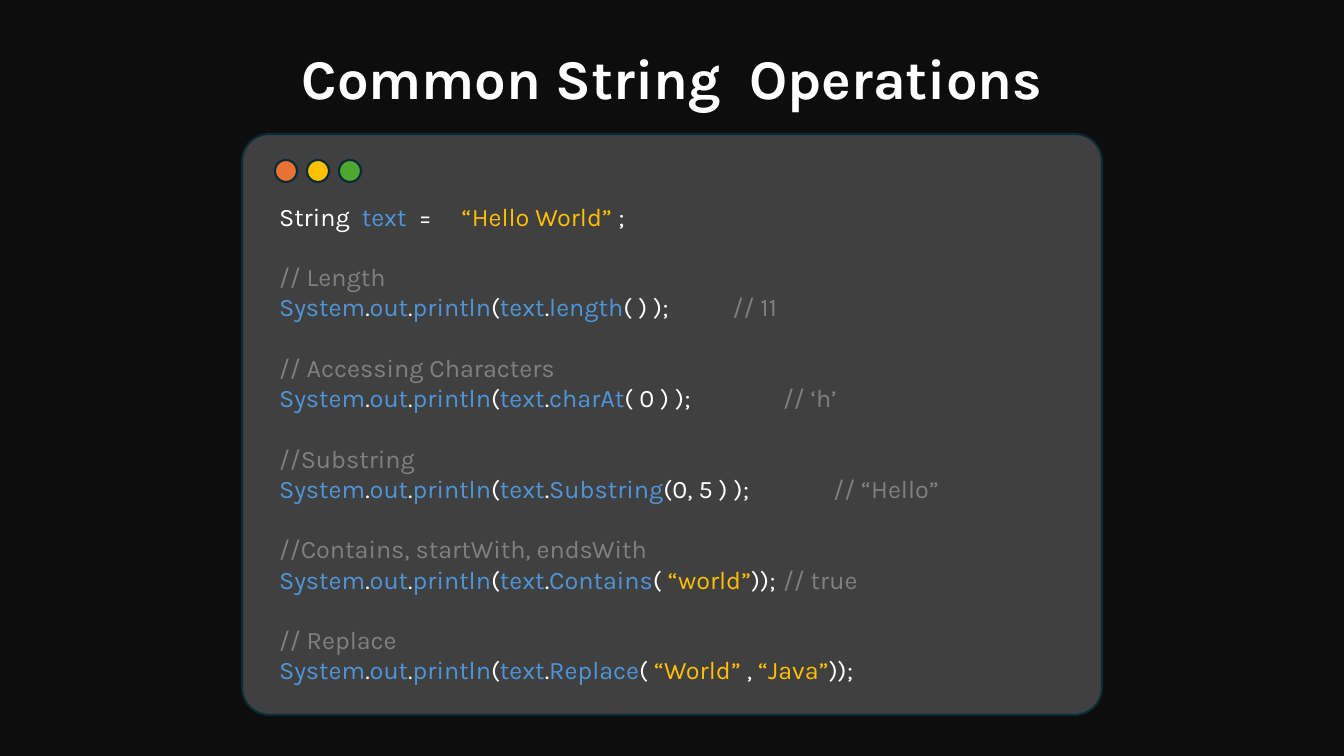
from pptx import Presentation
from pptx.dml.color import RGBColor
from pptx.enum.shapes import MSO_SHAPE as Shape
from pptx.enum.text import MSO_ANCHOR as Anchor, MSO_AUTO_SIZE as AutoSize, PP_ALIGN as Align
from pptx.oxml.xmlchemy import OxmlElement
from pptx.util import Pt

PX = 914400 / 100.8
FONT = "Karla"
BACKGROUND, CARD, OUTLINE = "0D0D0D", "404040", "092A39"
WHITE, BLUE, GOLD, GREY = "FFFFFF", "4E95D9", "FFC000", "808080"
DOTS = ["E97132", GOLD, "4EA72E"]
LINE_GAP = Pt(21.6)


def px(length):
    return round(length * PX)


def set_all(target, **values):
    for name, value in values.items():
        setattr(target, name, value)


def paint(fill, color):
    fill.solid()
    fill.fore_color.rgb = RGBColor.from_string(color)


def place(shape, left, top, width, height):
    set_all(shape, left=px(left), top=px(top), width=px(width), height=px(height))


def add_panel(shapes, kind, box, color):
    shape = shapes.add_shape(kind, *map(px, box))
    shape.shadow.inherit = False
    paint(shape.fill, color)
    paint(shape.line.fill, OUTLINE)
    shape.line.width = Pt(1.5)
    return shape


def add_span(para, text, color, size, bold=False):
    span = para.add_run()
    span.text = text
    set_all(span.font, name=FONT, size=Pt(size), bold=bold)
    paint(span.font.fill, color)


def prepare_frame(placeholder):
    frame = placeholder.text_frame
    set_all(frame, word_wrap=True, auto_size=AutoSize.NONE, vertical_anchor=Anchor.TOP)
    return frame


def add_title(page, text):
    place(page.shapes.title, 201, 38, 942, 78)
    para = prepare_frame(page.shapes.title).paragraphs[0]
    para.alignment = Align.CENTER
    add_span(para, text, WHITE, 40, bold=True)


def print_call(method, *rest):
    """Spans of one System.out.println line that calls a method of text."""
    spans = []
    for name, mark in [("System", "."), ("out", "."), ("println", "("), ("text", ".")]:
        spans += [(name, BLUE), (mark, WHITE)]
    return [*spans, (method, BLUE), *rest]


def add_code(placeholder, blocks):
    place(placeholder, 269, 196, 770, 499)
    frame = prepare_frame(placeholder)
    para = frame.paragraphs[0]
    for block_index, block in enumerate(blocks):
        for line_index, spans in enumerate(block):
            if block_index or line_index:
                para = frame.add_paragraph()
            starts_block = block_index and not line_index
            set_all(para, alignment=Align.LEFT, line_spacing=1.0,
                    space_before=LINE_GAP if starts_block else Pt(0))
            # Plain lines: no bullet or indent, tab stops every half inch
            properties = para._p.get_or_add_pPr()
            for name, value in {"marL": "0", "indent": "0", "defTabSz": "457200"}.items():
                properties.set(name, value)
            properties.append(OxmlElement("a:buNone"))
            for text, color in spans:
                add_span(para, text, color, 18)


def main():
    deck = Presentation()
    set_all(deck, slide_width=px(1344), slide_height=px(756))
    page = deck.slides.add_slide(deck.slide_layouts[1])
    paint(page.background.fill, BACKGROUND)

    # Code window, behind the text
    card = add_panel(page.shapes, Shape.ROUNDED_RECTANGLE, (242, 134, 860, 581), CARD)
    card.adjustments[0] = 0.047
    page.shapes._spTree.insert(2, card._element)

    # Window buttons
    buttons = page.shapes.add_group_shape()
    for index, color in enumerate(DOTS):
        add_panel(buttons.shapes, Shape.OVAL, (275 + 32 * index, 160, 22, 22), color)

    add_title(page, "Common String  Operations")

    # Code: a declaration, then a comment and a call per block
    add_code(page.placeholders[1], [
        [[("String  ", WHITE), ("text ", BLUE), (" =     ", WHITE),
          ("“Hello World”", GOLD), (" ;", WHITE)]],
        [[("// Length", GREY)],
         print_call("length", ("( ) );\t\t", WHITE), ("// 11", GREY))],
        [[("// Accessing Characters", GREY)],
         print_call("charAt", ("( 0 ) );\t\t", WHITE), ("// ‘h’", GREY))],
        [[("//Substring", GREY)],
         print_call("Substring", ("(0, 5 ) );\t\t", WHITE), ("// “Hello”", GREY))],
        [[("//Contains, startWith, endsWith", GREY)],
         print_call("Contains", ("( ", WHITE), ("“world”", GOLD), ("));\t", WHITE),
                    ("// true", GREY))],
        [[("// Replace", GREY)],
         print_call("Replace", ("( ", WHITE), ("“World” ", GOLD), (",", WHITE),
                    (" “Java”", GOLD), ("));", WHITE))],
    ])
    deck.save("out.pptx")


if __name__ == "__main__":
    main()
